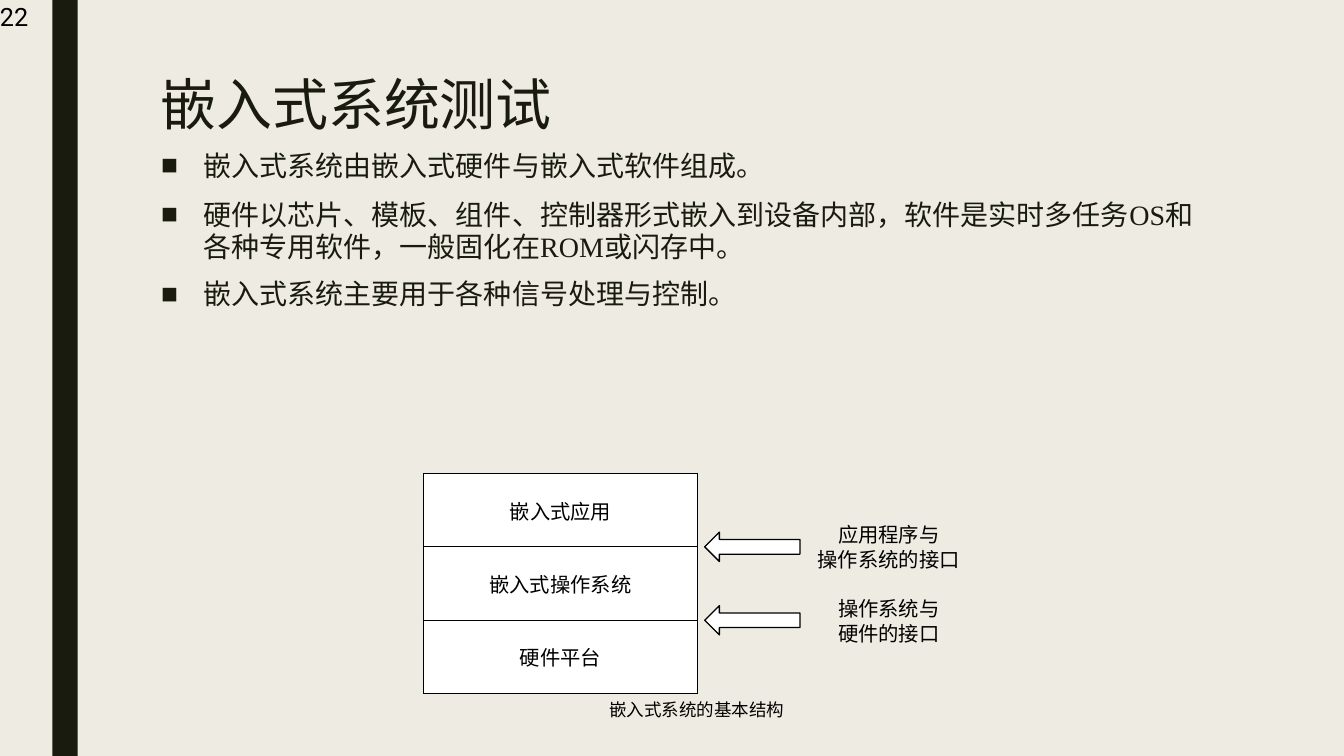
from lxml.etree import SubElement
from pptx import Presentation
from pptx.dml.color import RGBColor
from pptx.enum.shapes import MSO_SHAPE
from pptx.enum.text import MSO_ANCHOR, MSO_AUTO_SIZE, PP_ALIGN
from pptx.oxml.ns import qn
from pptx.util import Cm, Pt

HUES = {"sand": "EEECE2", "dark": "181B0D", "black": "000000", "white": "FFFFFF"}
SANS, SERIF = "Noto Sans CJK SC", "Times New Roman"
TITLE = "嵌入式系统测试"
POINTS = [
    (["嵌入式系统由嵌入式硬件与嵌入式软件组成。"], 11.6, None),
    (["硬件以芯片、模板、组件、控制器形式嵌入到设备内部，软件是实时多任务", "OS",
      "和 各种专用软件，一般固化在", "ROM", "或闪存中。"], 12.5, Pt(22.6)),
    (["嵌入式系统主要用于各种信号处理与控制。"], 10, None),
]
LAYERS = ["嵌入式应用", "嵌入式操作系统", "硬件平台"]
LINKS = ["应用程序与\n操作系统的接口", "操作系统与\n硬件的接口"]
LEFT, TOP, WIDE, ROW = 10.67, 11.93, 6.91, 1.85


def paint(fill, hue):
    fill.solid()
    fill.fore_color.rgb = RGBColor.from_string(HUES[hue])


def style(para, size, hue="black", face=SANS, align=PP_ALIGN.LEFT):
    para.alignment = align
    para.font.size = Pt(size)
    para.font.name = face
    paint(para.font.fill, hue)
    props = para._p.get_or_add_pPr().find(qn("a:defRPr"))
    SubElement(props, qn("a:ea"), typeface=face)


def fit(frame, anchor=MSO_ANCHOR.MIDDLE):
    frame.word_wrap = True
    frame.auto_size = MSO_AUTO_SIZE.NONE
    frame.vertical_anchor = anchor
    frame.margin_left = frame.margin_right = frame.margin_top = frame.margin_bottom = 0


def place(shape, left, top, width, height):
    shape.left, shape.top = Cm(left), Cm(top)
    shape.width, shape.height = Cm(width), Cm(height)


def add_shape(slide, kind, box, hue, line=None):
    shape = slide.shapes.add_shape(kind, *map(Cm, box))
    shape.shadow.inherit = False
    paint(shape.fill, hue)
    if line:
        paint(shape.line.fill, line)
        shape.line.width = Pt(0.92)
    else:
        shape.line.fill.background()


def add_text(slide, text, box, size, face=SANS, align=PP_ALIGN.CENTER, pitch=None):
    frame = slide.shapes.add_textbox(*map(Cm, box)).text_frame
    fit(frame)
    frame.text = text
    for para in frame.paragraphs:
        style(para, size, face=face, align=align)
        para.line_spacing = pitch


def set_title(shape):
    place(shape, 4.04, 1.73, 20, 1.75)
    fit(shape.text_frame)
    shape.text_frame.text = TITLE
    style(shape.text_frame.paragraphs[0], 40, "dark")


def set_list(shape):
    place(shape, 4.04, 3.33, 26.06, 4.52)
    frame = shape.text_frame
    fit(frame, MSO_ANCHOR.TOP)
    frame.margin_top = Cm(0.41)
    for i, (parts, gap, pitch) in enumerate(POINTS):
        para = frame.add_paragraph() if i else frame.paragraphs[0]
        para.space_before, para.line_spacing = Pt(gap), pitch
        props = para._p.get_or_add_pPr()
        props.set("marL", str(Cm(1.09)))
        props.set("indent", str(Cm(-1.07)))
        SubElement(props, qn("a:buChar"), char="■")
        style(para, 20, "dark")
        for j, part in enumerate(parts):
            run = para.add_run()
            run.text = part
            if j % 2:
                run.font.name = SERIF


def add_edge(cell):
    props = cell._tc.get_or_add_tcPr()
    for i, side in enumerate(("lnL", "lnR", "lnT", "lnB")):
        line = props.makeelement(qn("a:" + side), {"w": str(Pt(1))})
        fill = SubElement(line, qn("a:solidFill"))
        SubElement(fill, qn("a:srgbClr"), val=HUES["black"])
        props.insert(i, line)


def add_stack(slide):
    box = map(Cm, (LEFT, TOP, WIDE, ROW * len(LAYERS)))
    table = slide.shapes.add_table(len(LAYERS), 1, *box).table
    table.first_row = table.horz_banding = False
    for i, text in enumerate(LAYERS):
        cell = table.cell(i, 0)
        cell.text = text
        cell.vertical_anchor = MSO_ANCHOR.MIDDLE
        paint(cell.fill, "white")
        add_edge(cell)
        style(cell.text_frame.paragraphs[0], 14.5, align=PP_ALIGN.CENTER)


def main():
    """Build the slide on testing embedded systems."""
    deck = Presentation()
    deck.slide_width, deck.slide_height = Cm(33.87), Cm(19.05)
    slide = deck.slides.add_slide(deck.slide_layouts[1])
    paint(slide.background.fill, "sand")
    add_shape(slide, MSO_SHAPE.RECTANGLE, (1.32, 0, 0.64, 19.05), "dark")
    set_title(slide.shapes.title)
    set_list(slide.placeholders[1])
    add_text(slide, "22", (0, 0, 0.8, 0.84), 18, "Roboto", PP_ALIGN.LEFT)
    add_stack(slide)
    for i, text in enumerate(LINKS, 1):
        mid = TOP + ROW * i
        add_shape(slide, MSO_SHAPE.LEFT_ARROW, (17.76, mid - 0.37, 2.4, 0.74), "white", "black")
        add_text(slide, text, (20.4, mid - 0.7, 4, 1.4), 14.5, pitch=Pt(18))
    add_text(slide, "嵌入式系统的基本结构", (15.06, 17.5, 5, 0.74), 12.5)
    deck.save("out.pptx")


main()
